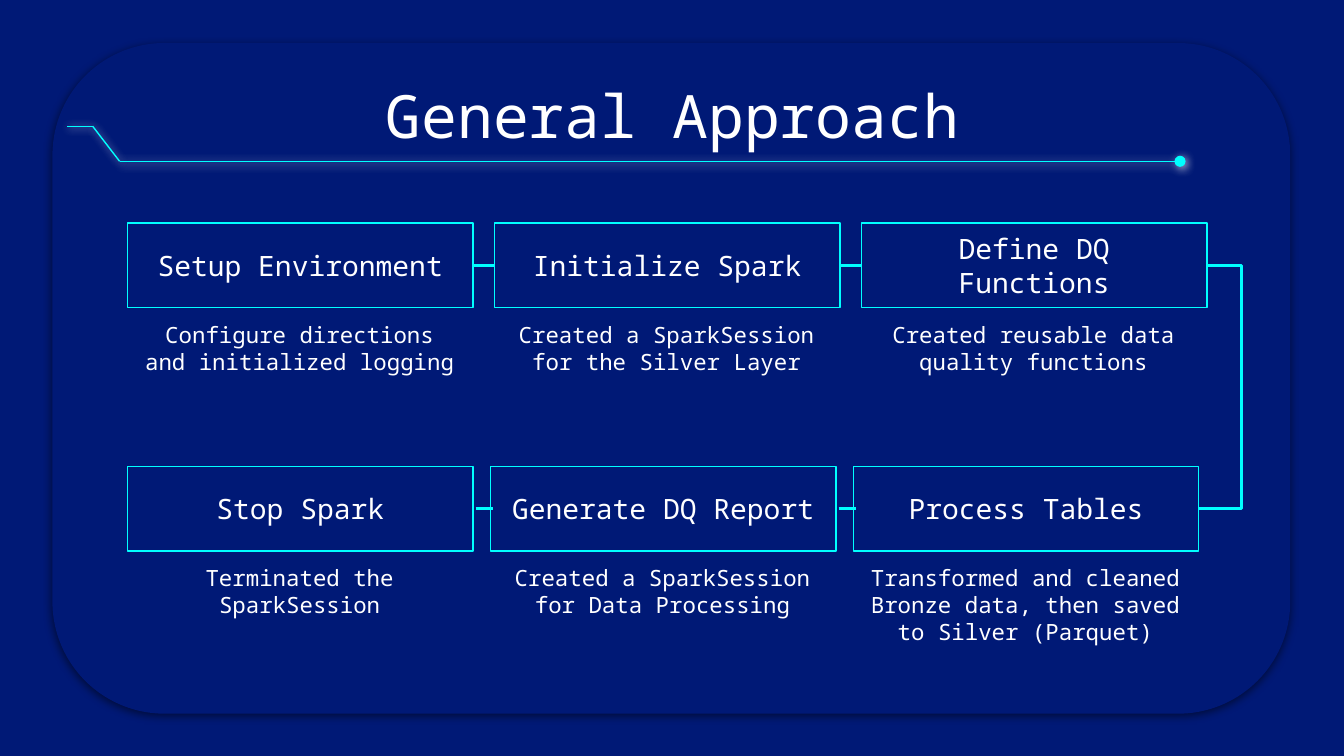
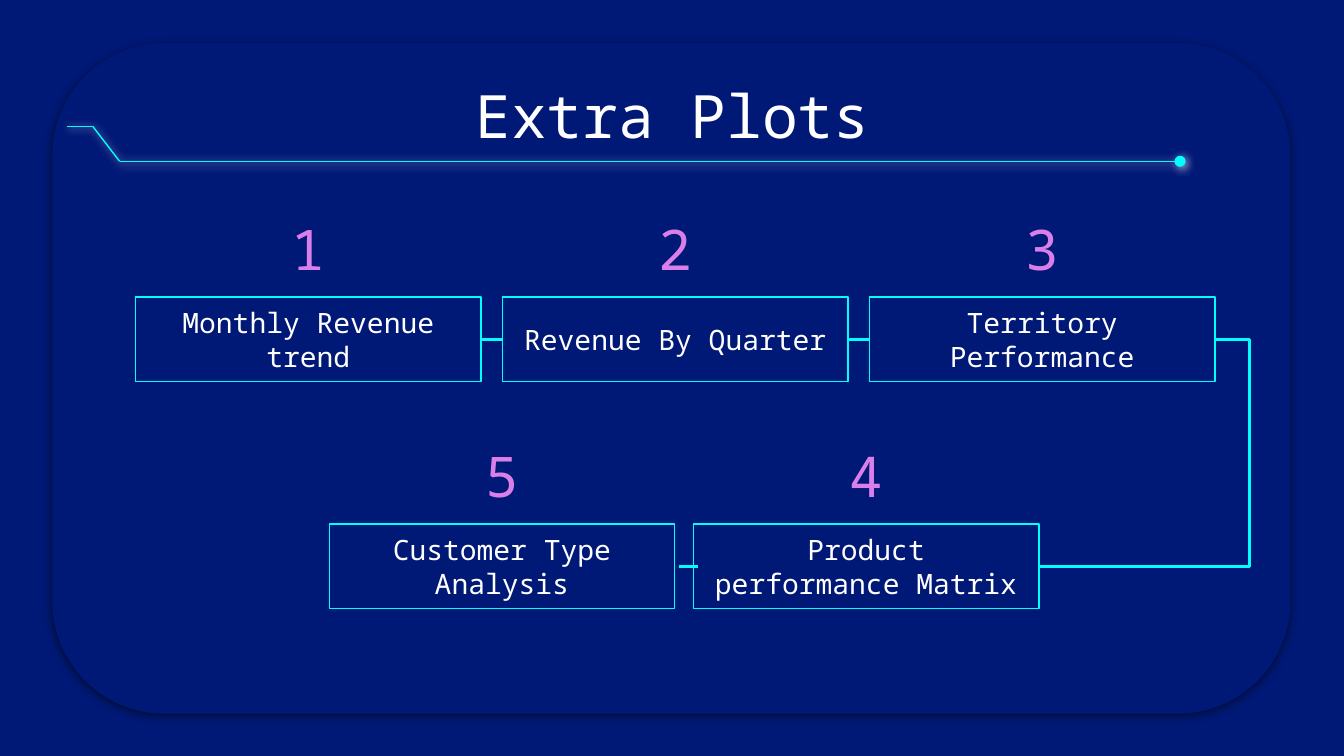
from lxml.etree import SubElement
from pptx import Presentation
from pptx.dml.color import RGBColor
from pptx.enum.shapes import MSO_CONNECTOR, MSO_SHAPE
from pptx.enum.text import MSO_ANCHOR, PP_ALIGN
from pptx.oxml.ns import qn
from pptx.util import Inches, Pt

HUES = {"navy": "001976", "cyan": "00FFFF", "white": "FFFFFF",
        "pink": "DA7EE9", "black": "000000"}
FONT = "Noto Sans Mono"
WIDE, TALL = 2.57, 0.63
DIGIT = 0.73


def rgb(name):
    """Return a named colour."""
    return RGBColor.from_string(HUES[name])


def shade(shape, hue=None, alpha=0, blur=0, dist=0, angle=0):
    """Give a shape an outer shadow, or none without a hue."""
    root = SubElement(shape._element.spPr, qn("a:effectLst"))
    if hue:
        outer = SubElement(root, qn("a:outerShdw"), blurRad=str(Pt(blur)),
                           dist=str(Pt(dist)), dir=str(angle * 60000),
                           algn="bl", rotWithShape="0")
        color = SubElement(outer, qn("a:srgbClr"), val=HUES[hue])
        SubElement(color, qn("a:alpha"), val=str(alpha * 1000))


def write(shape, text, size, hue="white", anchor=MSO_ANCHOR.TOP):
    """Put one centred paragraph in a shape."""
    frame = shape.text_frame
    frame.word_wrap = True
    frame.vertical_anchor = anchor
    frame.margin_left = frame.margin_right = Inches(0.1)
    frame.margin_top = frame.margin_bottom = Inches(0.1)
    para = frame.paragraphs[0]
    para.text = text
    para.alignment = PP_ALIGN.CENTER
    para.font.name = FONT
    para.font.size = Pt(size)
    para.font.color.rgb = rgb(hue)


def label(slide, text, x, y, w, h, size):
    """Add a text box."""
    area = [Inches(v) for v in (x, y, w, h)]
    write(slide.shapes.add_textbox(*area), text, size)


def block(slide, x, y, w, h, bend=0):
    """Add an unfilled, unlined rounded box."""
    shape = slide.shapes.add_shape(MSO_SHAPE.ROUNDED_RECTANGLE,
                                   *[Inches(v) for v in (x, y, w, h)])
    shape.adjustments[0] = bend
    shape.fill.background()
    shape.line.fill.background()
    return shape


def step(slide, text, x, y):
    """Add a framed step."""
    shape = block(slide, x, y, WIDE, TALL)
    shape.line.color.rgb = rgb("cyan")
    shape.line.width = Pt(0.75)
    shape.shadow.inherit = False
    write(shape, text, 15, anchor=MSO_ANCHOR.MIDDLE)


def digit(slide, text, x, y):
    """Add a number centred above the step at x, y."""
    shape = block(slide, x + (WIDE - DIGIT) / 2, y - DIGIT, DIGIT, DIGIT)
    shape.shadow.inherit = False
    write(shape, text, 30, "pink", MSO_ANCHOR.MIDDLE)


def wire(shapes, kind, start, end, width):
    """Add a cyan connector."""
    line = shapes.add_connector(kind, *[Inches(v) for v in start + end])
    line.line.color.rgb = rgb("cyan")
    line.line.width = Pt(width)
    return line


def link(slide, start, end, via=None):
    """Join two points with an elbow that turns at x = via."""
    line = wire(slide.shapes, MSO_CONNECTOR.ELBOW, start, end, 1.5)
    if via is not None:
        turn = (via - start[0]) / (end[0] - start[0])
        geom = line._element.spPr.find(qn("a:prstGeom"))
        guides = geom.get_or_add_avLst()
        SubElement(guides, qn("a:gd"), name="adj1",
                   fmla=f"val {round(turn * 100000)}")
    shade(line)


def row(slide, texts, left, y, pitch, shift=0):
    """Add linked steps at an even pitch and return their left edges."""
    spots = [left + pitch * i for i in range(len(texts))]
    mid = y + TALL / 2
    for text, x in zip(texts, spots):
        step(slide, text, x, y)
    for x in spots[:-1]:
        link(slide, (x + WIDE + shift, mid), (x + pitch + shift, mid))
    return spots


def turn(slide, high, low, via):
    """Join the right side of an upper step to that of a lower one."""
    ends = [(x + WIDE, y + TALL / 2) for x, y in (high, low)]
    link(slide, *ends, via)


def trace(slide):
    """Draw the glowing line under the title."""
    group = slide.shapes.add_group_shape()
    dots = [(0.5, 0.94), (0.69, 0.94), (0.89, 1.2), (8.78, 1.2)]
    for start, end in zip(dots, dots[1:]):
        line = wire(group.shapes, MSO_CONNECTOR.STRAIGHT, start, end, 0.75)
        if end == dots[-1]:
            SubElement(line.line._get_or_add_ln(), qn("a:tailEnd"), type="oval")
        shade(line, "white", 75, 4.5, 0.8, 63)


def start(deck, title):
    """Add a slide with panel, title and trace."""
    slide = deck.slides.add_slide(deck.slide_layouts[6])
    slide.background.fill.solid()
    slide.background.fill.fore_color.rgb = rgb("navy")
    panel = block(slide, 0.39, 0.32, 9.21, 4.99, 0.167)
    panel.fill.solid()
    panel.fill.fore_color.rgb = rgb("navy")
    shade(panel, "black", 50, 4.5, 1.5, 90)
    label(slide, title, 0.79, 0.49, 8.43, 0.63, 32)
    trace(slide)
    return slide


def steps(deck):
    """Build the slide on the approach."""
    slide = start(deck, "General Approach")
    high, low = 1.66, 3.47
    top = row(slide, ["Setup Environment", "Initialize Spark",
                      "Define DQ Functions"], 0.95, high, 2.73)
    base = row(slide, ["Stop Spark", "Generate DQ Report",
                       "Process Tables"], 0.95, low, 2.7, 0.02)
    turn(slide, (top[-1], high), (base[-1], low), 9.24)
    notes = [
        (top, high, ["Configure directions and initialized logging",
                     "Created a SparkSession for the Silver Layer",
                     "Created reusable data quality functions"]),
        (base, low, ["Terminated the SparkSession",
                     "Created a SparkSession for Data Processing",
                     "Transformed and cleaned Bronze data, "
                     "then saved to Silver (Parquet)"])]
    for spots, y, texts in notes:
        for x, text in zip(spots, texts):
            tall = 1 if len(text) > 50 else 0.67
            label(slide, text, x, y + TALL, 2.56, tall, 12)


def plots(deck):
    """Build the slide on the extra plots."""
    slide = start(deck, "Extra Plots")
    high, low = 2.21, 3.9
    top = row(slide, ["Monthly Revenue trend", "Revenue By Quarter",
                      "Territory Performance"], 1.01, high, 2.73)
    base = row(slide, ["Customer Type Analysis",
                       "Product performance Matrix"], 2.45, low, 2.71, 0.03)
    turn(slide, (top[-1], high), (base[-1], low), 9.3)
    for spots, y, marks in ((top, high, "123"), (base, low, "54")):
        for x, mark in zip(spots, marks):
            digit(slide, mark, x, y)


def main():
    """Build and save the deck."""
    deck = Presentation()
    deck.slide_width = Inches(10)
    deck.slide_height = Inches(10) * 9 // 16
    steps(deck)
    plots(deck)
    deck.save("out.pptx")


if __name__ == "__main__":
    main()
